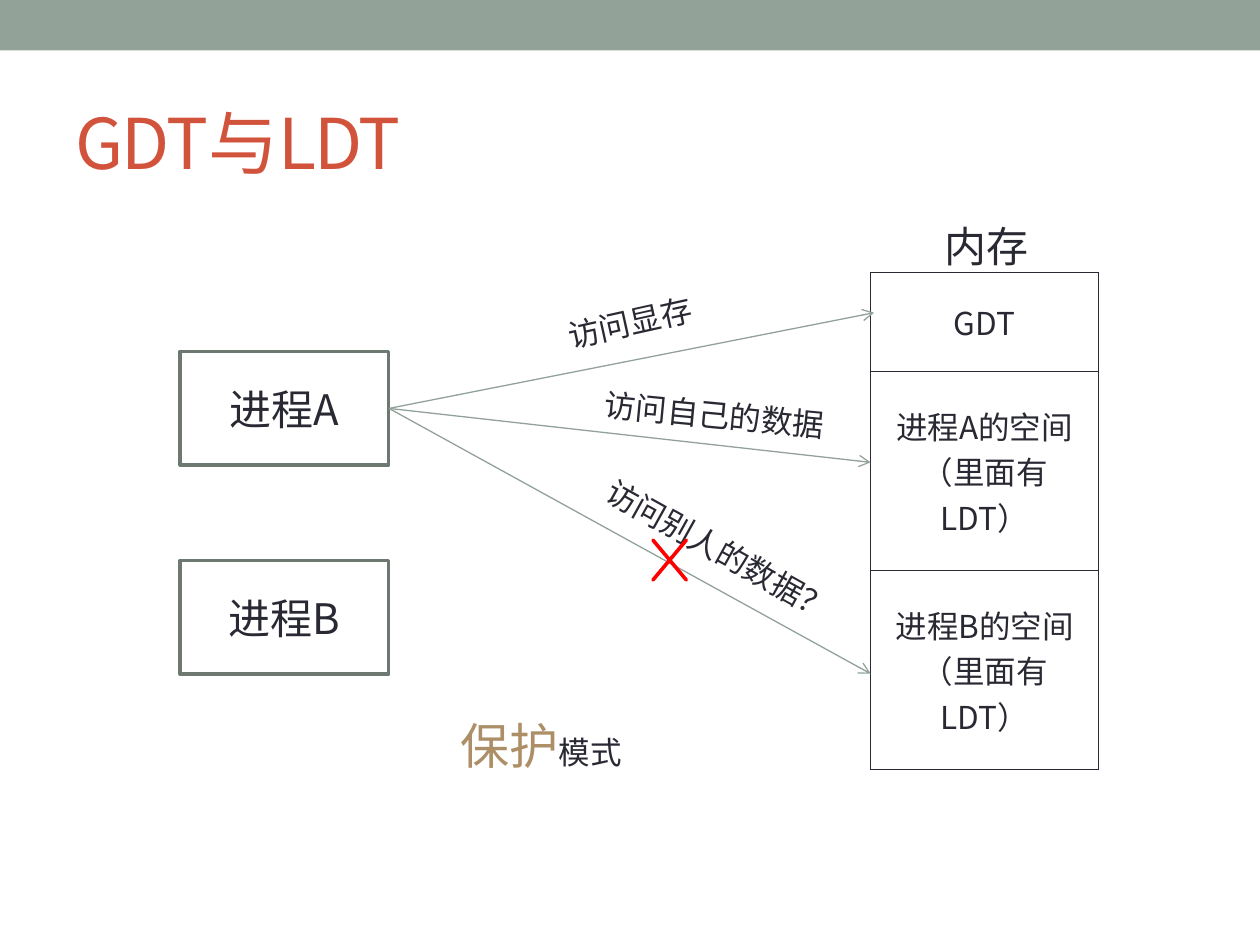
from lxml.etree import SubElement
from pptx import Presentation
from pptx.dml.color import RGBColor
from pptx.enum.shapes import MSO_CONNECTOR, MSO_SHAPE
from pptx.enum.text import MSO_ANCHOR, PP_ALIGN
from pptx.oxml.ns import qn
from pptx.util import Pt

FONT = "Noto Sans CJK SC"
DARK, SAGE, BORDER, RED = "292934", "93A299", "6D7871", "FF0000"

TITLE = ("GDT与LDT", 36, 41.8, 648, 77.8)
PROCESSES = [("进程A", 200.9), ("进程B", 320.4)]
PROCESS_LEFT, PROCESS_WIDTH, PROCESS_HEIGHT = 103, 119, 64.8
MEMORY_LABEL = ("内存", 524.2, 122.4, 79.2, 36)
MEMORY = [
    (["GDT"], 56.7),
    (["进程A的空间", "（里面有LDT）"], 113.6),
    (["进程B的空间", "（里面有LDT）"], 113.6),
]
MEMORY_LEFT, MEMORY_TOP, MEMORY_WIDTH = 497.5, 155.7, 130.3
ACCESS_START = (222.3, 233.4)
ACCESSES = [
    ("访问显存", (499.5, 178.7), (306, 169.9, 108, 28.8), -12.5),
    ("访问自己的数据", (497.5, 264.2), (336.2, 222.5, 144, 28.8), 5.4),
    ("访问别人的数据？", (497.5, 385), (331.2, 295.2, 144, 28.8), 29.1),
]
CROSS = (364.3, 298.1, 36.7, 43.9)
MODE = [("保护", 28, "AD8F67"), ("模式", 18, DARK)]
MODE_BOX = (256.3, 405.4, 244, 41)


def color(value):
    return RGBColor.from_string(value)


def points(values):
    return [Pt(value) for value in values]


def format_run(run, size, fill):
    run.font.size = Pt(size)
    run.font.name = FONT
    run.font.color.rgb = color(fill)
    SubElement(run.font._element, qn("a:ea")).set("typeface", FONT)


def write(frame, lines, size, fill=DARK, align=PP_ALIGN.CENTER):
    frame.text = "\n".join(lines)
    for paragraph in frame.paragraphs:
        paragraph.alignment = align
        for run in paragraph.runs:
            format_run(run, size, fill)


def add_text(box, text, size, fill=DARK, align=PP_ALIGN.CENTER):
    shape = slide.shapes.add_textbox(*points(box))
    write(shape.text_frame, [text], size, fill, align)
    return shape


def add_shape(kind, box, fill=None, line=None):
    shape = slide.shapes.add_shape(kind, *points(box))
    shape.shadow.inherit = False
    if fill:
        shape.fill.solid()
        shape.fill.fore_color.rgb = color(fill)
    else:
        shape.fill.background()
    if line:
        shape.line.color.rgb = color(line)
        shape.line.width = Pt(2.08)
    else:
        shape.line.fill.background()
    return shape


def add_arrow(start, end):
    arrow = slide.shapes.add_connector(MSO_CONNECTOR.STRAIGHT, *points(start + end))
    arrow.line.color.rgb = color(SAGE)
    arrow.line.width = Pt(0.75)
    SubElement(arrow.line._get_or_add_ln(), qn("a:tailEnd")).set("type", "arrow")
    SubElement(arrow._element.spPr, qn("a:effectLst"))


def add_borders(cell):
    properties = cell._tc.get_or_add_tcPr()
    for side in ("lnL", "lnR", "lnT", "lnB"):
        line = SubElement(properties, qn(f"a:{side}"), w=str(Pt(1)))
        fill = SubElement(line, qn("a:solidFill"))
        SubElement(fill, qn("a:srgbClr"), val=DARK)


presentation = Presentation()
presentation.slide_width, presentation.slide_height = Pt(720), Pt(540)
slide = presentation.slides.add_slide(presentation.slide_layouts[6])

add_shape(MSO_SHAPE.RECTANGLE, (0, 0, 720, 28.8), fill=SAGE)
title = add_text(TITLE[1:], TITLE[0], 40, "D2533C", PP_ALIGN.LEFT)
title.text_frame.word_wrap = True
title.text_frame.vertical_anchor = MSO_ANCHOR.MIDDLE
for run in title.text_frame.paragraphs[0].runs:
    run.font._element.set("spc", "-100")

for name, top in PROCESSES:
    box = (PROCESS_LEFT, top, PROCESS_WIDTH, PROCESS_HEIGHT)
    process = add_shape(MSO_SHAPE.RECTANGLE, box, line=BORDER)
    process.text_frame.vertical_anchor = MSO_ANCHOR.MIDDLE
    write(process.text_frame, [name], 24)

add_text(MEMORY_LABEL[1:], MEMORY_LABEL[0], 24)
memory_box = (MEMORY_LEFT, MEMORY_TOP, MEMORY_WIDTH, sum(height for _, height in MEMORY))
table = slide.shapes.add_table(len(MEMORY), 1, *points(memory_box)).table
table.first_row = table.horz_banding = False
for index, (lines, height) in enumerate(MEMORY):
    table.rows[index].height = Pt(height)
    cell = table.cell(index, 0)
    add_borders(cell)
    cell.fill.background()
    cell.vertical_anchor = MSO_ANCHOR.MIDDLE
    write(cell.text_frame, lines, 18)

for text, end, box, angle in ACCESSES:
    add_arrow(ACCESS_START, end)
    add_text(box, text, 18).rotation = angle

cross = add_shape(MSO_SHAPE.MATH_MULTIPLY, CROSS, RED, RED)
cross.adjustments[0] = 0

mode = slide.shapes.add_textbox(*points(MODE_BOX))
mode.text_frame.word_wrap = True
for text, size, fill in MODE:
    run = mode.text_frame.paragraphs[0].add_run()
    run.text = text
    format_run(run, size, fill)

presentation.save("out.pptx")
